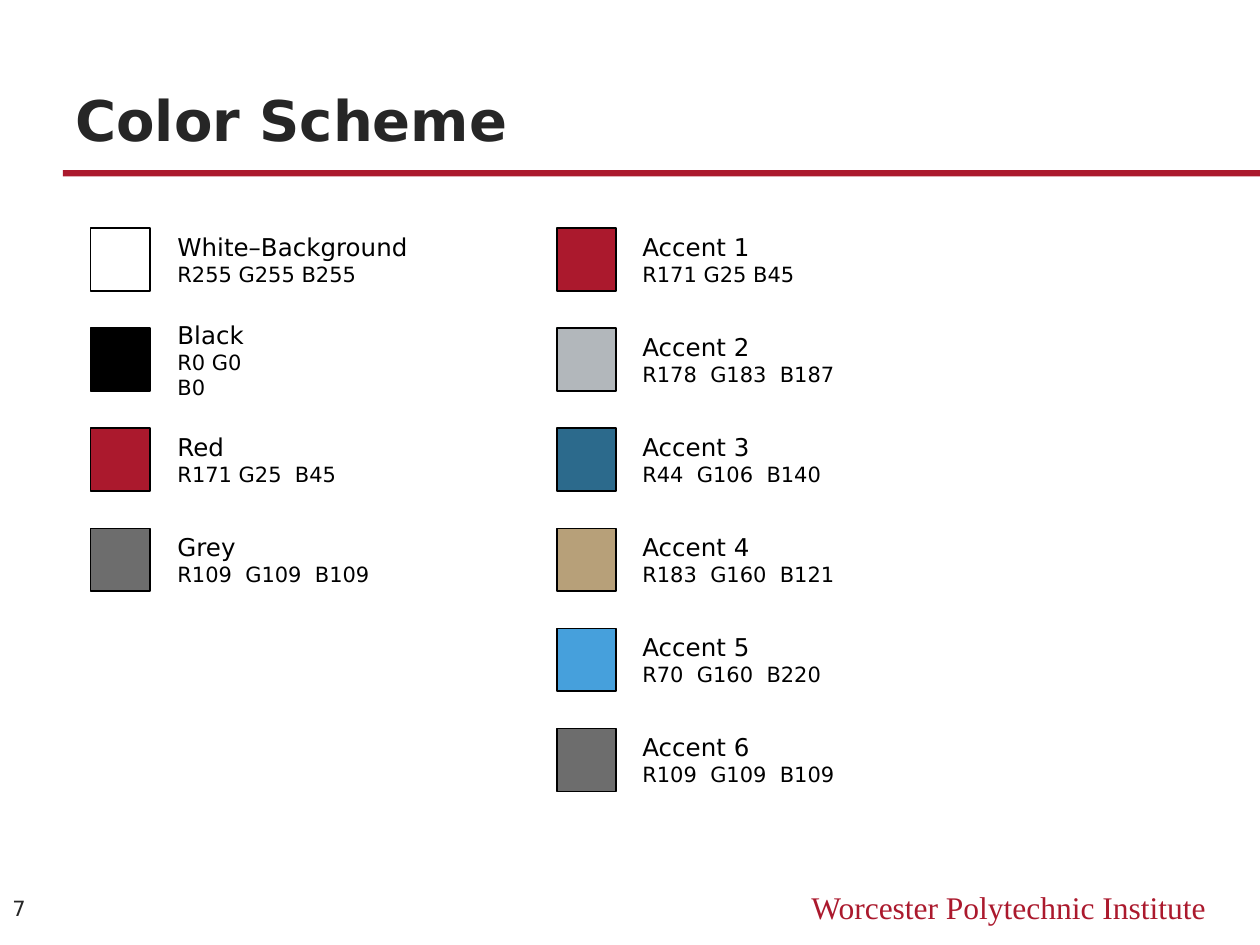
"""Build the Color Scheme slide: two columns of labelled colour swatches."""
from typing import NamedTuple

from pptx import Presentation
from pptx.dml.color import RGBColor
from pptx.enum.shapes import MSO_SHAPE as SHAPE
from pptx.enum.text import MSO_ANCHOR as ANCHOR, PP_ALIGN as ALIGN
from pptx.util import Inches, Pt

RED, GREY, BLACK, DARK = "AB192D", "6D6D6D", "000000", "262626"
SANS, SERIF = "DejaVu Sans", "Times New Roman"
TOP, PITCH = 1.81, 3.97 / 5
SWATCH_W, SWATCH_H, LABEL_H = 0.47, 0.5, 0.54


class Swatch(NamedTuple):
    name: str
    values: str
    fill: str
    label_w: float


class Column(NamedTuple):
    swatch_x: float
    label_x: float
    swatches: list[Swatch]


class Line(NamedTuple):
    text: str
    format: dict
    color: str


NAME_FORMAT = {"name": SANS, "size": Pt(14)}
VALUE_FORMAT = {"name": SANS, "size": Pt(12)}
TITLE_FORMAT = {"name": SANS, "size": Pt(32), "bold": True}
FOOTER_FORMAT = {"name": SERIF, "size": Pt(18)}

COLUMNS = [
    Column(0.72, 1.31, [
        Swatch("White–Background", "R255 G255 B255", "FFFFFF", 2.06),
        Swatch("Black", "R0 G0 B0", BLACK, 0.94),
        Swatch("Red", "R171 G25  B45", RED, 1.49),
        Swatch("Grey", "R109  G109  B109", GREY, 1.83),
    ]),
    Column(4.42, 5, [
        Swatch("Accent 1", "R171 G25 B45", RED, 1.43),
        Swatch("Accent 2", "R178  G183  B187", "B2B7BB", 1.77),
        Swatch("Accent 3", "R44  G106  B140", "2C6A8C", 1.66),
        Swatch("Accent 4", "R183  G160  B121", "B7A079", 1.77),
        Swatch("Accent 5", "R70  G160  B220", "46A0DC", 1.66),
        Swatch("Accent 6", "R109  G109  B109", GREY, 1.77),
    ]),
]


def rgb(value: str) -> RGBColor:
    """Turn a hex string into a colour."""
    return RGBColor.from_string(value)


def add_rect(s, x: float, y: float, w: float, h: float, fill: str, line: str = "") -> None:
    """Draw a filled rectangle, outlined when a line colour is given."""
    sp = s.shapes.add_shape(SHAPE.RECTANGLE, *map(Inches, (x, y, w, h)))
    sp.shadow.inherit = False
    sp.fill.solid()
    sp.fill.fore_color.rgb = rgb(fill)
    if line:
        sp.line.color.rgb = rgb(line)
        sp.line.width = Pt(0.75)
    else:
        sp.line.fill.background()


def add_text(s, x: float, y: float, w: float, h: float, lines: list[Line],
             anchor=ANCHOR.MIDDLE, align=ALIGN.LEFT) -> None:
    """Draw a text box with one paragraph for each line."""
    tf = s.shapes.add_textbox(*map(Inches, (x, y, w, h))).text_frame
    tf.word_wrap = True
    tf.vertical_anchor = anchor
    for i, line in enumerate(lines):
        p = tf.add_paragraph() if i else tf.paragraphs[0]
        p.alignment = align
        r = p.add_run()
        r.text = line.text
        for key, value in line.format.items():
            setattr(r.font, key, value)
        r.font.color.rgb = rgb(line.color)


def add_column(s, column: Column) -> None:
    """Draw a column of swatches with their labels."""
    for row, swatch in enumerate(column.swatches):
        y = TOP + row * PITCH
        add_rect(s, column.swatch_x, y, SWATCH_W, SWATCH_H, swatch.fill, BLACK)
        add_text(s, column.label_x, y - (LABEL_H - SWATCH_H) / 2, swatch.label_w, LABEL_H, [
            Line(swatch.name, NAME_FORMAT, BLACK),
            Line(swatch.values, VALUE_FORMAT, BLACK),
        ])


def main() -> None:
    """Build and save the slide."""
    prs = Presentation()
    prs.slide_width, prs.slide_height = Inches(10), Inches(7.5)
    s = prs.slides.add_slide(prs.slide_layouts[6])
    add_rect(s, 0.5, 1.35, 9.5, 0.05, RED)
    add_text(s, 6, 7, 3.67, 0.4,
             [Line("Worcester Polytechnic Institute", FOOTER_FORMAT, RED)],
             ANCHOR.TOP, ALIGN.RIGHT)
    add_text(s, 0.5, 0.38, 9, 0.88, [Line("Color Scheme", TITLE_FORMAT, DARK)], ANCHOR.BOTTOM)
    for column in COLUMNS:
        add_column(s, column)
    add_text(s, 0, 6.99, 0.5, 0.43, [Line("7", VALUE_FORMAT, DARK)])
    prs.save("out.pptx")


if __name__ == "__main__":
    main()
